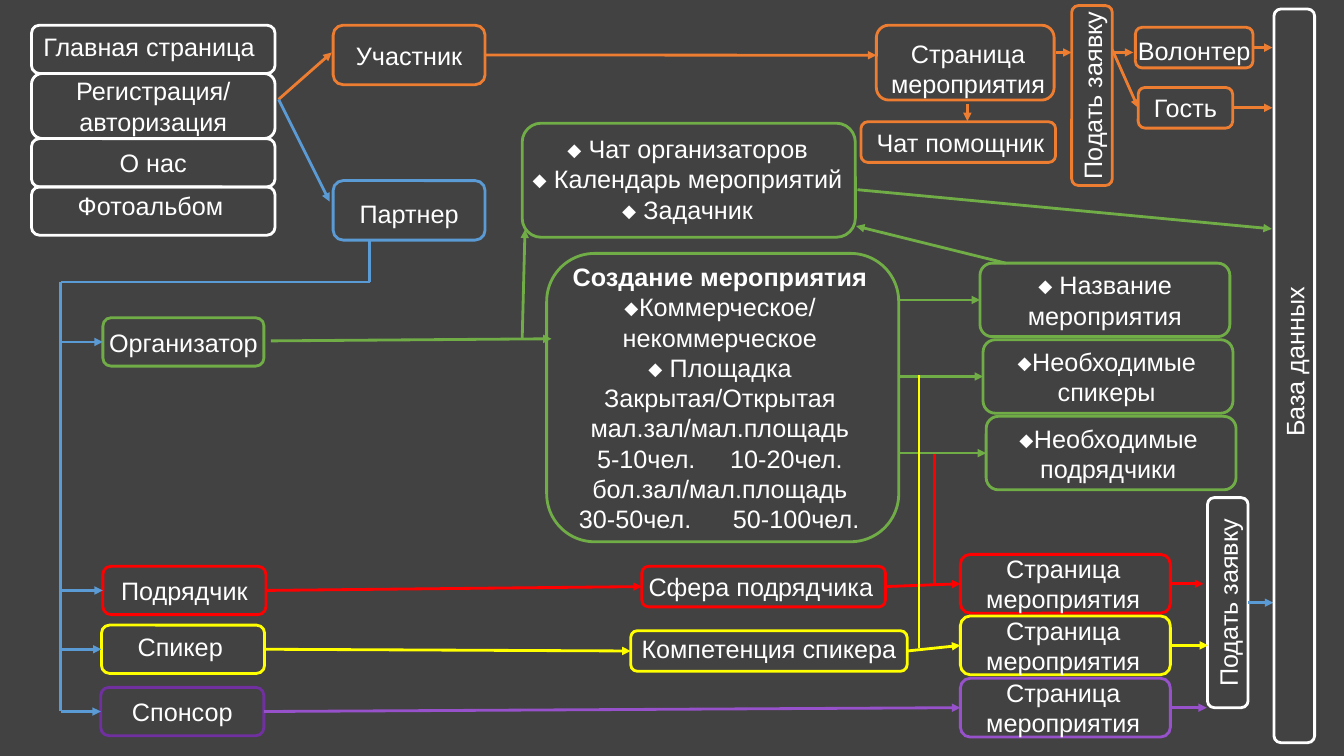
from lxml import etree
from pptx import Presentation
from pptx.dml.color import RGBColor
from pptx.enum.shapes import MSO_CONNECTOR, MSO_SHAPE
from pptx.enum.text import MSO_ANCHOR, PP_ALIGN
from pptx.oxml.ns import qn
from pptx.util import Emu, Pt

ROUNDED = MSO_SHAPE.ROUNDED_RECTANGLE
STRAIGHT = MSO_CONNECTOR.STRAIGHT
MIDDLE = MSO_ANCHOR.MIDDLE
CENTER, LEFT_ALIGN = PP_ALIGN.CENTER, PP_ALIGN.LEFT
LEFT, RIGHT = 1, 3
COLORS = {
    "background": "434242", "white": "FFFFFF", "orange": "ED7D31", "blue": "5B9BD5",
    "green": "70AD47", "red": "FF0000", "yellow": "FFFF00", "violet": "7030A0", "purple": "9751CB",
}
EVENT_PAGE = "Страница мероприятия"
REQUEST = "Подать заявку"
CREATION = """Создание мероприятия
◆Коммерческое/
некоммерческое
◆ Площадка
Закрытая/Открытая
мал.зал/мал.площадь
\t5-10чел.\t10-20чел.
бол.зал/мал.площадь
\t30-50чел.\t50-100чел."""


def color(name):
    """Return the palette colour with this name."""
    return RGBColor.from_string(COLORS[name])


def inside(box, left, top, *size):
    """Move a point or frame into the coordinates of a box."""
    return (box[0] + left, box[1] + top, *size)


def add_run(paragraph, text, **values):
    """Add a white run with the given font values."""
    run = paragraph.add_run()
    run.text = text
    for name, value in {"name": "Arial", "size": Pt(18), **values}.items():
        setattr(run.font, name, value)
    run.font.color.rgb = color("white")


def add_tabs(paragraph, stops):
    """Set left tab stops on a paragraph, given in points."""
    tabs = etree.SubElement(paragraph._p.get_or_add_pPr(), qn("a:tabLst"))
    for stop in stops:
        etree.SubElement(tabs, qn("a:tab"), pos=str(Pt(stop)), algn="l")


def add_label(frame, text, title=False, tabs=()):
    """Write centred lines, with diamond markers and tabbed columns."""
    tab_rows = iter(tabs)
    for index, line in enumerate(text.split("\n")):
        paragraph = frame.add_paragraph() if index else frame.paragraphs[0]
        paragraph.alignment = CENTER
        if "\t" in line:
            paragraph.alignment = LEFT_ALIGN
            add_tabs(paragraph, next(tab_rows))
        words = line.lstrip("◆ ")
        marker = line[:len(line) - len(words)]
        if marker:
            add_run(paragraph, marker, name="Montserrat")
        add_run(paragraph, words, bold=title and index == 0)


def add_box(slide, box, text, line, nudge=(0, 0), vertical=False, **label):
    """Add an outlined rounded box, its label moved from the centre by nudge."""
    shape = slide.shapes.add_shape(ROUNDED, *map(Pt, box))
    shape.shadow.inherit = False
    shape.fill.background()
    shape.line.color.rgb = color(line)
    shape.line.width = Pt(2)
    frame = shape.text_frame
    right, down = nudge
    values = {
        "margin_left": Pt(max(2 * right, 0)), "margin_right": Pt(max(-2 * right, 0)),
        "margin_top": Pt(max(2 * down, 0)), "margin_bottom": Pt(max(-2 * down, 0)),
        "vertical_anchor": MIDDLE, "word_wrap": " " in text,
    }
    for name, value in values.items():
        setattr(frame, name, value)
    if vertical:
        frame._txBody.bodyPr.set("vert", "vert270")
    add_label(frame, text, **label)
    return shape


def add_line(slide, start, end, line, arrow=True):
    """Draw a line between two ends, each a point or a (shape, side) pair."""
    free = [(0, 0) if hasattr(place[0], "shape_id") else place for place in (start, end)]
    connector = slide.shapes.add_connector(STRAIGHT, *(Pt(value) for place in free for value in place))
    for place, connect in ((start, connector.begin_connect), (end, connector.end_connect)):
        if hasattr(place[0], "shape_id"):
            connect(*place)
    connector.line.color.rgb = color(line)
    connector.line.width = Pt(2)
    if arrow:
        etree.SubElement(connector.line._get_or_add_ln(), qn("a:tailEnd"), type="triangle")
    etree.SubElement(connector._element.spPr, qn("a:effectLst"))


def add_menu(slide, box):
    """Stack the site menu down the box."""
    left, top, width, _ = box
    for text, height, nudge in (
        ("Главная страница", 34.5, (-3, -2)), ("Регистрация/\nавторизация", 46.5, (0, 0)),
        ("О нас", 34.5, (0, 0)), ("Фотоальбом", 34.5, (-2, -4)),
    ):
        add_box(slide, (left, top, width, height), text, "white", nudge)
        top += height


def add_roles(slide, box):
    """Branch from the menu to both roles and return the participant."""
    participant = add_box(slide, inside(box, 39, 0, 108.5, 42.5), "Участник", "orange")
    add_box(slide, inside(box, 39, 111, 108.5, 42.5), "Партнер", "blue", (0, 2.5))
    fork = inside(box, 0, 53)
    add_line(slide, fork, inside(box, 38, 19.5), "orange")
    add_line(slide, fork, inside(box, 36.5, 126), "blue")
    return participant


def add_participant_path(slide, box, participant):
    """Lay out the participant's path up to the database."""
    add_box(slide, inside(box, 11, 14, 127, 53.5), EVENT_PAGE, "orange", (2, 4))
    add_box(slide, inside(box, 0, 83, 139, 29), "Чат помощник", "orange", (1.5, 0))
    add_box(slide, inside(box, 150.5, 0, 29, 128.5), REQUEST, "orange", vertical=True)
    volunteer = add_box(slide, inside(box, 196, 15.5, 84, 29), "Волонтер", "orange", (0, 2))
    guest = add_box(slide, inside(box, 198, 58.5, 67.5, 29), "Гость", "orange")
    for start, end in (
        ((participant, RIGHT), inside(box, 11, 35.5)),
        (inside(box, 139, 33.5), inside(box, 150.5, 33.5)),
        (inside(box, 180, 33.5), inside(box, 194.5, 33.5)),
        (inside(box, 179.5, 31.5), (guest, LEFT)),
        (inside(box, 76, 70), inside(box, 76, 82.5)),
        ((volunteer, RIGHT), inside(box, 294, 30)),
        ((guest, RIGHT), inside(box, 294, 73)),
    ):
        add_line(slide, start, end, "orange")


def add_organizer_path(slide, box):
    """Lay out the organizer's tools and event creation; return the organizer."""
    organizer = add_box(slide, inside(box, 0.5, 140, 115, 34.5), "Организатор", "green")
    tools = "◆ Чат организаторов\n◆ Календарь мероприятий\n◆ Задачник"
    add_box(slide, inside(box, 300, 1, 238, 81.5), tools, "green", (-1, -1))
    add_box(slide, inside(box, 317.5, 94, 251.5, 206), CREATION, "green", (-2, 0),
            title=True, tabs=((26, 121), (13, 123)))
    needs = ("◆ Название мероприятия", "◆Необходимые спикеры", "◆Необходимые подрядчики")
    for index, text in enumerate(needs):
        top = 101 + 54.7 * index
        need = add_box(slide, inside(box, 627 + 2.2 * index, top, 178.5, 52.5), text, "green", (-index, 0))
        add_line(slide, inside(box, 569, top + 26.25), (need, LEFT), "green")
    for start, end in (
        ((120.5, 156.5), (321, 155)), ((300, 155.5), (302, 77)),
        ((645.5, 101), (538.5, 74.5)), ((539.5, 48.5), (835.5, 76.5)),
    ):
        add_line(slide, inside(box, *start), inside(box, *end), "green")
    return organizer


def add_supplier_paths(slide, box):
    """Lay out the contractor, speaker and sponsor lanes; return their first boxes."""
    request = add_box(slide, inside(box, 790.5, 0.5, 29, 150), REQUEST, "white", vertical=True)
    add_line(slide, (request, RIGHT), inside(box, 837.5, 75.5), "blue")
    suppliers = []
    for text, line, flow, frame, nudge, skill, event_top, exit_left in (
        ("Подрядчик", "red", "red", (1.5, 49.5), (0, 0),
         ("Сфера подрядчика", (386.5, 49.5, 174, 29), (-2, 0)), 41, 787.5),
        ("Спикер", "yellow", "yellow", (0.5, 91.5), (-2, -2),
         ("Компетенция спикера", (378.5, 95.5, 197.5, 29), (0, -2)), 85, 791),
        ("Спонсор", "violet", "purple", (0, 136), (0, 0), None, 129.5, 790),
    ):
        supplier = add_box(slide, inside(box, *frame, 116.5, 34.5), text, line, nudge)
        event = add_box(slide, inside(box, 614, event_top, 150, 42), EVENT_PAGE, flow, (-1.5, 0))
        steps = [supplier, event]
        if skill:
            skill_text, skill_frame, skill_nudge = skill
            steps.insert(1, add_box(slide, inside(box, *skill_frame), skill_text, flow, skill_nudge))
        for step, following in zip(steps, steps[1:]):
            add_line(slide, (step, RIGHT), (following, LEFT), flow)
        add_line(slide, (event, RIGHT), inside(box, exit_left, event_top + 21), flow)
        suppliers.append(supplier)
    return suppliers


def add_partner_tree(slide, box, branches):
    """Lead from the partner down to each kind of partner."""
    left, top, width, height = box
    corners = [(left + width, top), (left + width, top + 29.5), (left, top + 29.5), (left, top + height)]
    for start, end in zip(corners, corners[1:]):
        add_line(slide, start, end, "blue", arrow=False)
    for branch in branches:
        middle = Emu(branch.top + branch.height // 2).pt
        add_line(slide, (left, middle), (branch, LEFT), "blue")


def add_need_links(slide, box):
    """Tie the needs of an event to the speaker and contractor lanes."""
    for line, left, top, bottom in (("yellow", 0.5, 0, 195), ("red", 11.5, 56, 149)):
        add_line(slide, inside(box, left, top), inside(box, left, bottom), line, arrow=False)


def main():
    """Build and save the site scheme."""
    presentation = Presentation()
    presentation.slide_width, presentation.slide_height = Pt(960), Pt(540)
    slide = presentation.slides.add_slide(presentation.slide_layouts[6])
    slide.background.fill.solid()
    slide.background.fill.fore_color.rgb = color("background")
    add_menu(slide, (22.5, 18, 174, 150))
    participant = add_roles(slide, (199, 18, 147.5, 153.5))
    add_participant_path(slide, (615, 4, 294, 128.5), participant)
    organizer = add_organizer_path(slide, (73, 87, 835.5, 300))
    suppliers = add_supplier_paths(slide, (72, 355, 837.5, 171.5))
    add_partner_tree(slide, (43.5, 172, 220.5, 336), [organizer, *suppliers])
    add_need_links(slide, (656, 268, 12, 195))
    add_box(slide, (910, 6.5, 29, 524), "База данных", "white", (0, -10), vertical=True)
    presentation.save("out.pptx")


if __name__ == "__main__":
    main()
